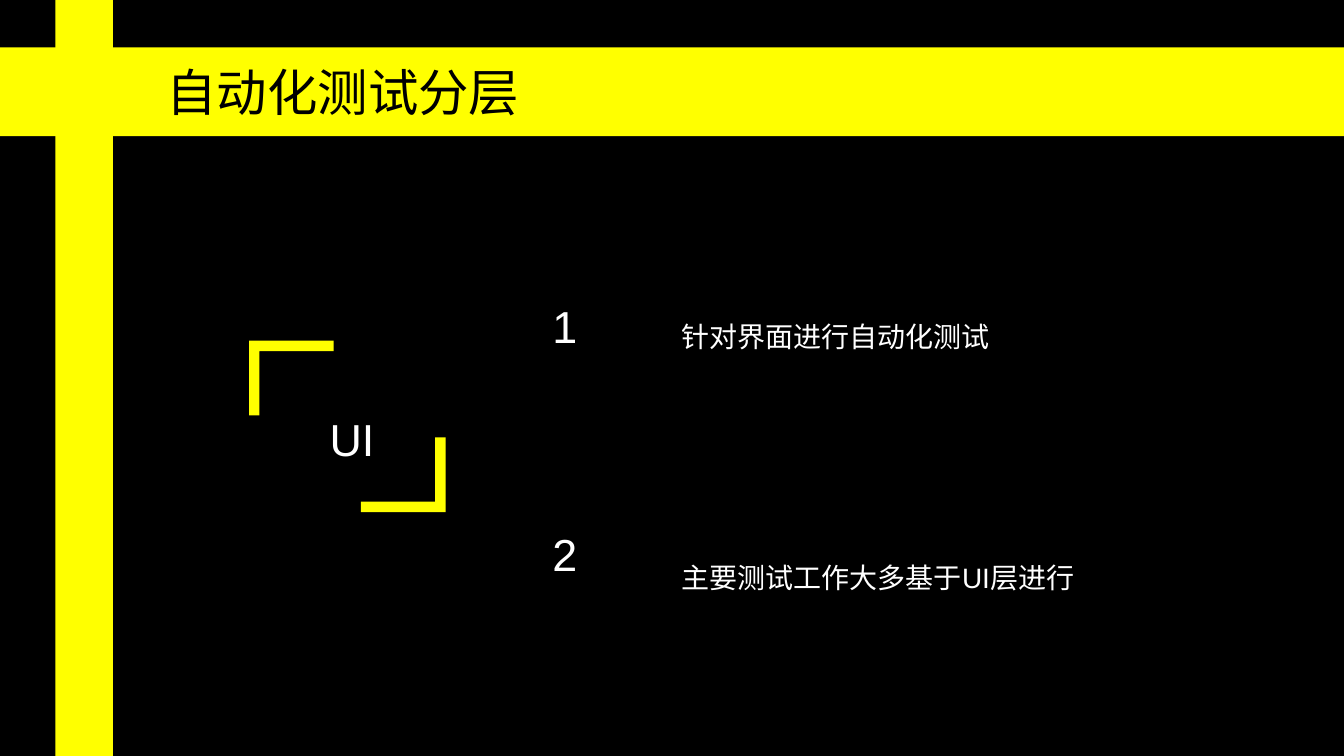
from typing import NamedTuple

from pptx import Presentation
from pptx import util as u
from pptx.dml.color import RGBColor
from pptx.enum import shapes, text

PX = 9144  # EMU per px, 100 px to the inch
FONT = "Arial"
COLOURS = {"black": "000000", "yellow": "FFFF00", "white": "FFFFFF"}


class Box(NamedTuple):
    left: int
    top: int
    width: int
    height: int


class Label(NamedTuple):
    words: str
    box: Box
    size: int
    spacing: float = 1.0


class Bracket(NamedTuple):
    box: Box
    rotation: int


BANDS = [Box(0, 47, 1333, 88), Box(55, 0, 57, 750)]
BRACKETS = [
    Bracket(Box(252, 333, 74, 84), 90),
    Bracket(Box(363, 429, 74, 84), 270),
]
TITLE = Label("自动化测试分层", Box(155, 56, 463, 71), 36)
LABELS = [
    Label("UI", Box(317, 377, 87, 91), 32, 1.5),
    Label("1", Box(538, 291, 60, 64), 32),
    Label("针对界面进行自动化测试", Box(666, 295, 537, 60), 20, 1.5),
    Label("2", Box(538, 518, 60, 64), 32),
    Label("主要测试工作大多基于UI层进行", Box(666, 534, 537, 60), 20, 1.5),
]


def colour(name: str) -> RGBColor:
    return RGBColor.from_string(COLOURS[name])


def emu(box: Box) -> list[int]:
    return [length * PX for length in box]


def add_yellow_shape(slide, kind: shapes.MSO_SHAPE, box: Box):
    shape = slide.shapes.add_shape(kind, *emu(box))
    shape.shadow.inherit = False
    shape.fill.solid()
    shape.fill.fore_color.rgb = colour("yellow")
    shape.line.fill.background()
    return shape


def add_bracket(slide, bracket: Bracket) -> None:
    shape = add_yellow_shape(slide, shapes.MSO_SHAPE.CORNER, bracket.box)
    shape.adjustments[0] = 0.14
    shape.adjustments[1] = 0.14
    shape.rotation = bracket.rotation


def write_label(shape, label: Label, colour_name: str) -> None:
    frame = shape.text_frame
    frame.text = label.words
    frame.word_wrap = True
    frame.auto_size = text.MSO_AUTO_SIZE.SHAPE_TO_FIT_TEXT
    frame.vertical_anchor = text.MSO_ANCHOR.TOP
    paragraph = frame.paragraphs[0]
    paragraph.alignment = text.PP_ALIGN.LEFT
    paragraph.line_spacing = label.spacing
    for run in paragraph.runs:
        run.font.name = FONT
        run.font.size = u.Pt(label.size)
        run.font.color.rgb = colour(colour_name)


def add_title(slide) -> None:
    """Place the title placeholder in front of the yellow bands."""
    title = slide.shapes.title
    title.left, title.top, title.width, title.height = emu(TITLE.box)
    write_label(title, TITLE, "black")
    slide.shapes.element.append(title.element)


def main() -> None:
    presentation = Presentation()
    presentation.slide_width = 1333 * PX
    presentation.slide_height = 750 * PX
    slide = presentation.slides.add_slide(presentation.slide_layouts[5])
    slide.background.fill.solid()
    slide.background.fill.fore_color.rgb = colour("black")

    for band in BANDS:
        add_yellow_shape(slide, shapes.MSO_SHAPE.RECTANGLE, band)
    add_title(slide)
    for bracket in BRACKETS:
        add_bracket(slide, bracket)
    for label in LABELS:
        write_label(slide.shapes.add_textbox(*emu(label.box)), label, "white")

    presentation.save("out.pptx")


if __name__ == "__main__":
    main()
